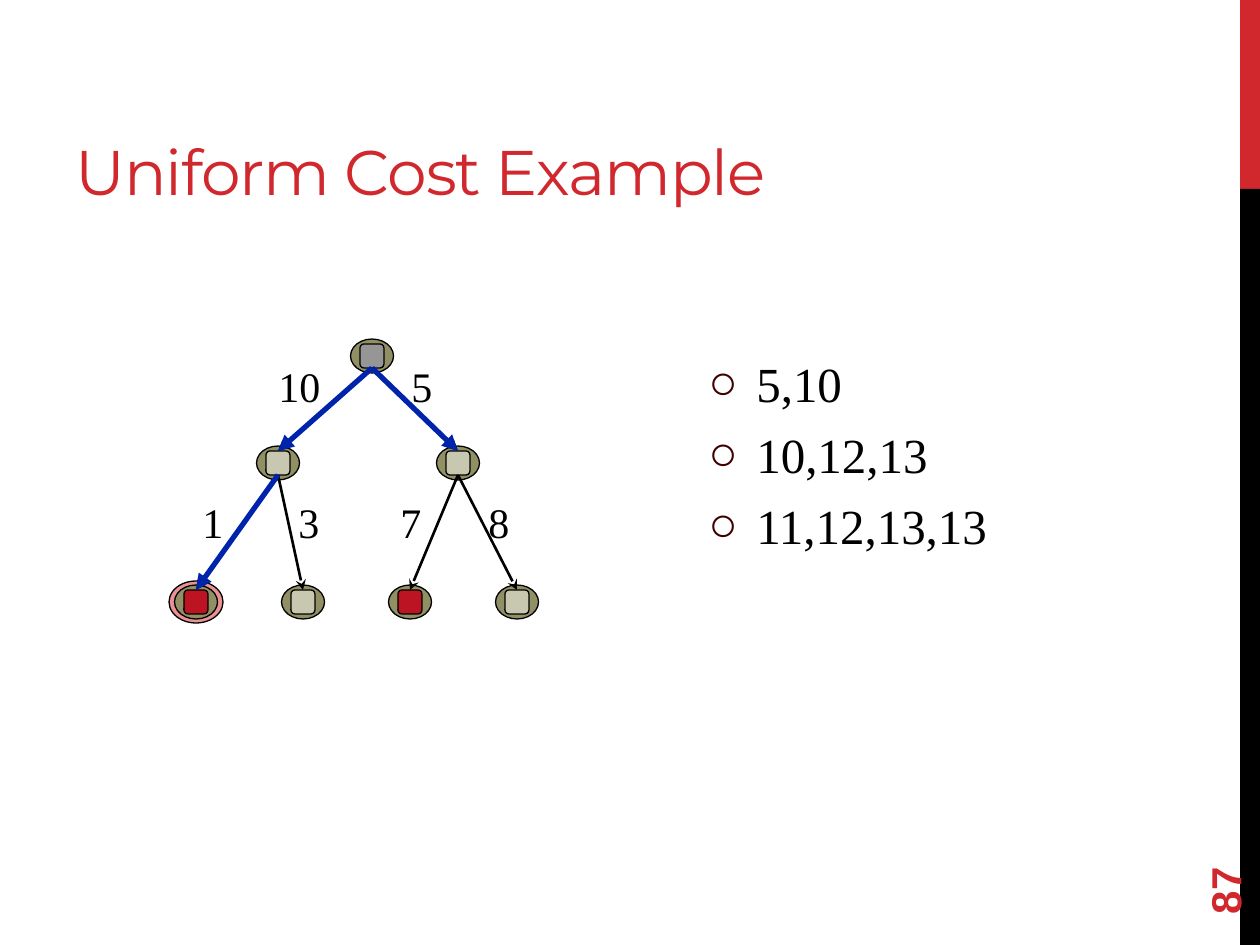
from pptx import Presentation
from pptx.dml.color import RGBColor
from pptx.enum.shapes import MSO_CONNECTOR as Conn, MSO_SHAPE as Kind
from pptx.enum.text import MSO_ANCHOR as Anchor
from pptx.oxml.ns import qn
from pptx.util import Pt
from lxml.etree import SubElement as Sub

RED, BLACK, BLUE = "D1282E", "000000", "0023AB"
OLIVE, GRAY, SAND, GOAL = "919064", "969696", "C8C8B1", "BC1422"
SERIF = "Times New Roman"
TITLE, PAGE = "Uniform Cost Example", "87"
QUEUE = ["5,10", "10,12,13", "11,12,13,13"]
NODES = {
    "root": (372, 356, GRAY),
    "left": (278, 463, SAND),
    "right": (458, 463, SAND),
    "a": (196, 602, GOAL),
    "b": (303, 602, SAND),
    "c": (410, 602, GOAL),
    "d": (517, 602, SAND),
}
EDGES = [("root", "right"), ("right", "d"), ("right", "c"),
         ("root", "left"), ("left", "b"), ("left", "a")]
SEEN = [("root", "left"), ("left", "a"), ("root", "right")]
COSTS = [("10", 266, 354, 72), ("5", 399, 354, 49), ("1", 190, 490, 49),
         ("3", 286, 490, 49), ("7", 388, 490, 49), ("8", 476, 490, 49)]
HALF = 12


def px(n):
    return round(n * 914400 / 126)


def rgb(code):
    return RGBColor.from_string(code)


def shape(kind, x, y, w, h, fill, edge=True):
    item = slide.shapes.add_shape(kind, px(x), px(y), px(w), px(h))
    item.shadow.inherit = False
    item.fill.solid()
    item.fill.fore_color.rgb = rgb(fill)
    if edge:
        item.line.color.rgb = rgb(BLACK)
        item.line.width = Pt(0.75)
    else:
        item.line.fill.background()
    return item


def node(kind, x, y, w, h, fill):
    return shape(kind, x - w / 2, y - h / 2, w, h, fill)


def arrow(start, end, color, width, head):
    (x1, y1, _), (x2, y2, _) = NODES[start], NODES[end]
    line = slide.shapes.add_connector(
        Conn.STRAIGHT, px(x1), px(y1 + HALF), px(x2), px(y2 - HALF))
    line.line.color.rgb = rgb(color)
    line.line.width = Pt(width)
    Sub(line.line._get_or_add_ln(), qn("a:tailEnd"), type=head)
    Sub(line._element.spPr, qn("a:effectLst"))


def write(para, text, size, face, color, bold=False):
    run = para.add_run()
    run.text = text
    font = run.font
    font.size, font.name, font.bold = Pt(size), face, bold
    font.color.rgb = rgb(color)
    return run


def box(x, y, w, h, wrap=True):
    item = slide.shapes.add_textbox(px(x), px(y), px(w), px(h))
    item.text_frame.word_wrap = wrap
    return item


def bullet(para):
    props = para._p.get_or_add_pPr()
    props.set("marL", str(px(48)))
    props.set("indent", str(px(-48)))
    Sub(Sub(props, qn("a:buClr")), qn("a:srgbClr"), val="3C0000")
    Sub(props, qn("a:buFont"), typeface=SERIF)
    Sub(props, qn("a:buChar"), char="○")


deck = Presentation()
deck.slide_width, deck.slide_height = px(1260), px(945)
slide = deck.slides.add_slide(deck.slide_layouts[6])

shape(Kind.RECTANGLE, 1240, 0, 20, 189, RED, False)
shape(Kind.RECTANGLE, 1240, 189, 20, 756, BLACK, False)

number = box(1134, 811, 181, 50)
number.rotation = 270
number.text_frame.vertical_anchor = Anchor.MIDDLE
write(number.text_frame.paragraphs[0], PAGE, 24, "Arial", RED, True)

title = box(63, 21, 798, 189).text_frame
title.vertical_anchor = Anchor.BOTTOM
title.margin_bottom = px(2)
head = write(title.paragraphs[0], TITLE, 36, "Montserrat", RED)
head.font._element.set("spc", "-60")

node(Kind.OVAL, *NODES["a"][:2], 54, 42, "EA9195")
for x, y, _ in NODES.values():
    node(Kind.OVAL, x, y, 43, 34, OLIVE)
for x, y, fill in NODES.values():
    node(Kind.ROUNDED_RECTANGLE, x, y, 2 * HALF, 2 * HALF, fill)
for start, end in EDGES:
    arrow(start, end, BLACK, 1.5, "stealth")
for start, end in SEEN:
    arrow(start, end, BLUE, 3, "triangle")
for text, x, y, w in COSTS:
    cost = box(x, y, w, 63, False).text_frame
    write(cost.paragraphs[0], text, 24, SERIF, BLACK)

queue = box(696, 347, 426, 296).text_frame
for i, text in enumerate(QUEUE):
    para = queue.add_paragraph() if i else queue.paragraphs[0]
    bullet(para)
    if i:
        para.space_before = Pt(7)
    write(para, text, 28, SERIF, BLACK)

deck.save("out.pptx")
